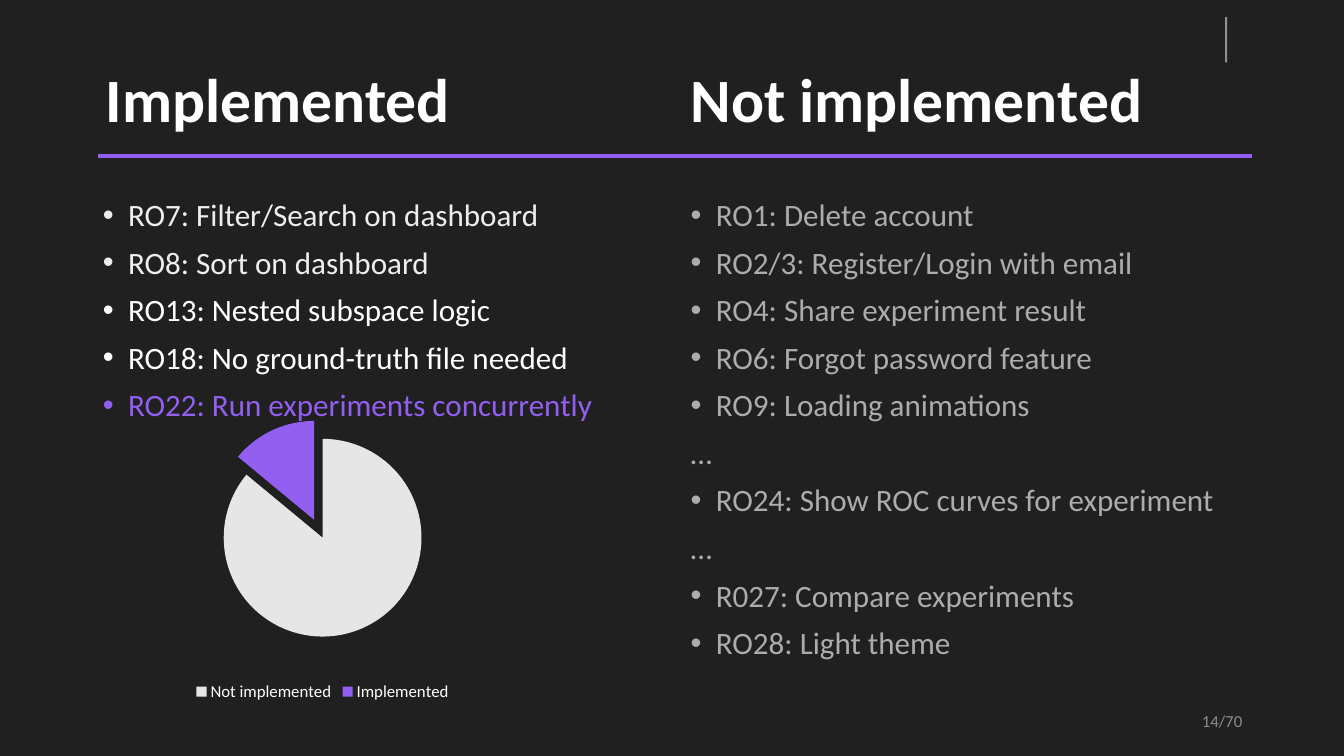
from pptx import Presentation
from pptx.chart.data import CategoryChartData
from pptx.dml.color import RGBColor
from pptx.enum.chart import XL_CHART_TYPE, XL_LEGEND_POSITION
from pptx.enum.shapes import MSO_CONNECTOR, MSO_SHAPE
from pptx.enum.text import MSO_ANCHOR, MSO_AUTO_SIZE, PP_ALIGN
from pptx.oxml.ns import qn
from pptx.util import Inches, Pt
from lxml.etree import Element, SubElement

DARK, WHITE, PALE, GREY, PURPLE = "202020", "FFFFFF", "EEEEEE", "AFABAB", "925FF0"


def color(value):
    return RGBColor.from_string(value)


def format_font(font, size, value, bold=False):
    settings = {"name": "Calibri", "size": Pt(size), "bold": bold}
    for name, setting in settings.items():
        setattr(font, name, setting)
    font.color.rgb = color(value)


presentation = Presentation()
presentation.slide_width, presentation.slide_height = Inches(13.33), Inches(7.5)
slide = presentation.slides.add_slide(presentation.slide_layouts.get_by_name("Comparison"))
slide.background.fill.solid()
slide.background.fill.fore_color.rgb = color(DARK)
title = slide.shapes.title
title.element.getparent().remove(title.element)

# Rule under the headings and small mark at the top
rule = slide.shapes.add_connector(MSO_CONNECTOR.STRAIGHT, Inches(0.97), Inches(1.55),
                                  Inches(12.42), Inches(1.55))
rule.line.color.rgb = color(PURPLE)
rule.line.width = Pt(3)
SubElement(rule.element.spPr, qn("a:effectLst"))

mark = slide.shapes.add_shape(MSO_SHAPE.RECTANGLE, Inches(12.15), Inches(0.17),
                              Inches(0.02), Inches(0.45))
mark.shadow.inherit = False
mark.fill.solid()
mark.fill.fore_color.rgb = color("909090")
mark.line.fill.background()

# Two columns: heading, heading left, list left, width, list items with colours
columns = [
    ("Implemented", 0.95, 0.92, 5.64, [
        ("RO7: Filter/Search on dashboard", PALE),
        ("RO8: Sort on dashboard", PALE),
        ("RO13: Nested subspace logic", WHITE),
        ("RO18: No ground-truth file needed", WHITE),
        ("RO22: Run experiments concurrently", PURPLE),
    ]),
    ("Not implemented", 6.75, 6.75, 5.67, [(item, GREY) for item in (
        "RO1: Delete account",
        "RO2/3: Register/Login with email",
        "RO4: Share experiment result",
        "RO6: Forgot password feature",
        "RO9: Loading animations",
        "…",
        "RO24: Show ROC curves for experiment",
        "…",
        "R027: Compare experiments",
        "RO28: Light theme",
    )]),
]
for number, (heading, heading_left, list_left, width, items) in enumerate(columns):
    blocks = [
        (1, heading_left, 0.5, 0.9, MSO_ANCHOR.BOTTOM, [(heading, WHITE)], 44),
        (2, list_left, 1.93, 4.84, MSO_ANCHOR.TOP, items, 22.2),
    ]
    for index, left, top, height, anchor, lines, size in blocks:
        body = slide.placeholders[2 * number + index]
        body.left, body.top = Inches(left), Inches(top)
        body.width, body.height = Inches(width), Inches(height)
        frame = body.text_frame
        frame.auto_size = MSO_AUTO_SIZE.NONE
        frame.vertical_anchor = anchor
        frame.text = "\n".join(text for text, _ in lines)
        for position, (paragraph, (text, value)) in enumerate(zip(frame.paragraphs, lines)):
            bulleted = index == 2 and text != "…"
            properties = paragraph._p.get_or_add_pPr()
            indent = Inches(0.25) if bulleted else 0
            properties.set("marL", str(indent))
            properties.set("indent", str(-indent))
            if bulleted:
                SubElement(properties, qn("a:buFont"), typeface="Arial")
                SubElement(properties, qn("a:buChar"), char="•")
            else:
                SubElement(properties, qn("a:buNone"))
            paragraph.line_spacing = 0.9
            paragraph.space_before = Pt(10 if position else 0)
            format_font(paragraph.runs[0].font, size, value, bold=index == 1)

# Pie chart of the shares
shares = CategoryChartData()
shares.categories = ["Not implemented", "Implemented"]
shares.add_series("Series 1", (86, 14))
chart = slide.shapes.add_chart(XL_CHART_TYPE.PIE, Inches(1.47), Inches(4.02),
                               Inches(3.46), Inches(2.98), shares).chart
format_font(chart.font, 10, "000000")
chart.has_title = False
chart.has_legend = True
chart.legend.position = XL_LEGEND_POSITION.BOTTOM
chart.legend.include_in_layout = False
format_font(chart.legend.font, 12, WHITE)
plot = chart.plots[0]
plot.vary_by_categories = True
for position, value in enumerate(("E7E6E6", PURPLE)):
    point = plot.series[0].points[position]
    point.format.fill.solid()
    point.format.fill.fore_color.rgb = color(value)
    point.format.line.fill.background()

# Pull the last slice, "Implemented", out of the pie
slice_properties = chart._chartSpace.findall(".//" + qn("c:dPt"))[-1].find(qn("c:spPr"))
slice_properties.addprevious(Element(qn("c:explosion"), val="20"))

# Page number
page_number = slide.shapes.add_textbox(Inches(9.42), Inches(6.95), Inches(3), Inches(0.4))
page_frame = page_number.text_frame
page_frame.word_wrap = True
page_frame.vertical_anchor = MSO_ANCHOR.MIDDLE
page_frame.text = "14/70"
page_frame.paragraphs[0].alignment = PP_ALIGN.RIGHT
format_font(page_frame.paragraphs[0].runs[0].font, 12, "8C8C8C")

presentation.save("out.pptx")
